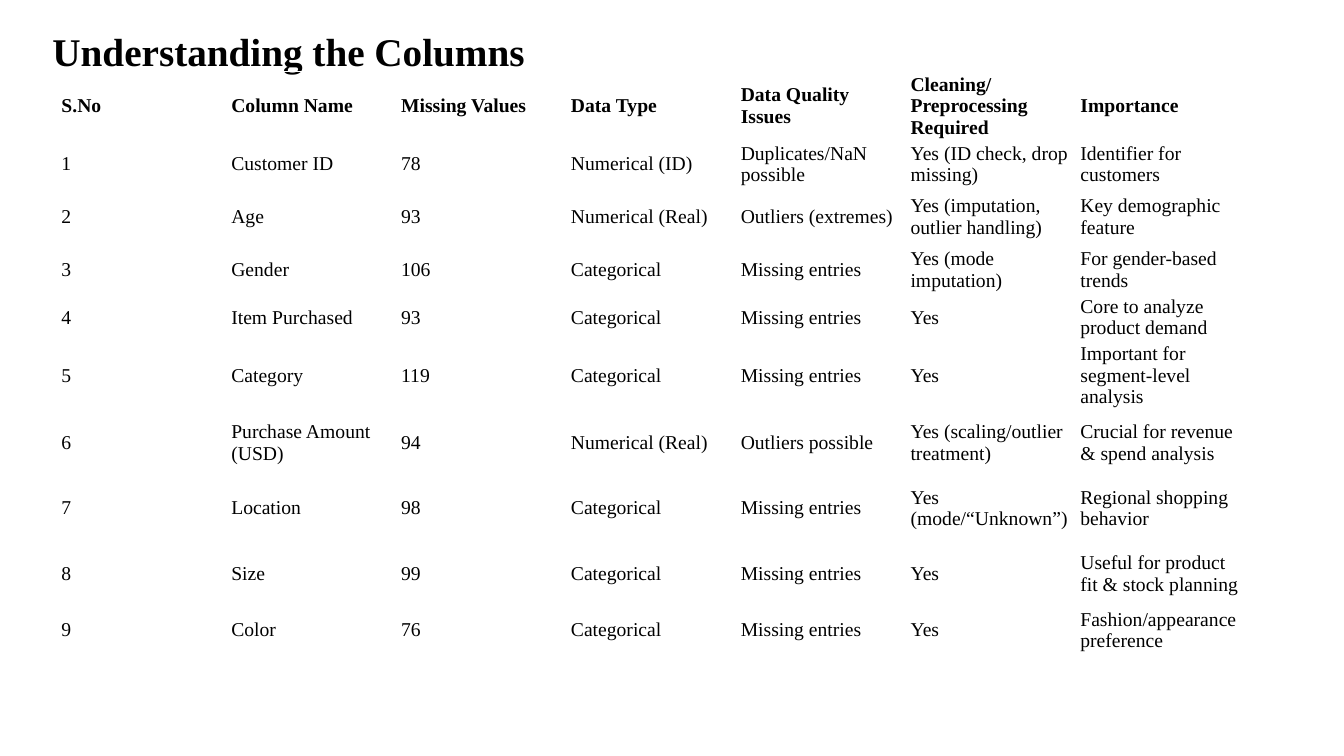
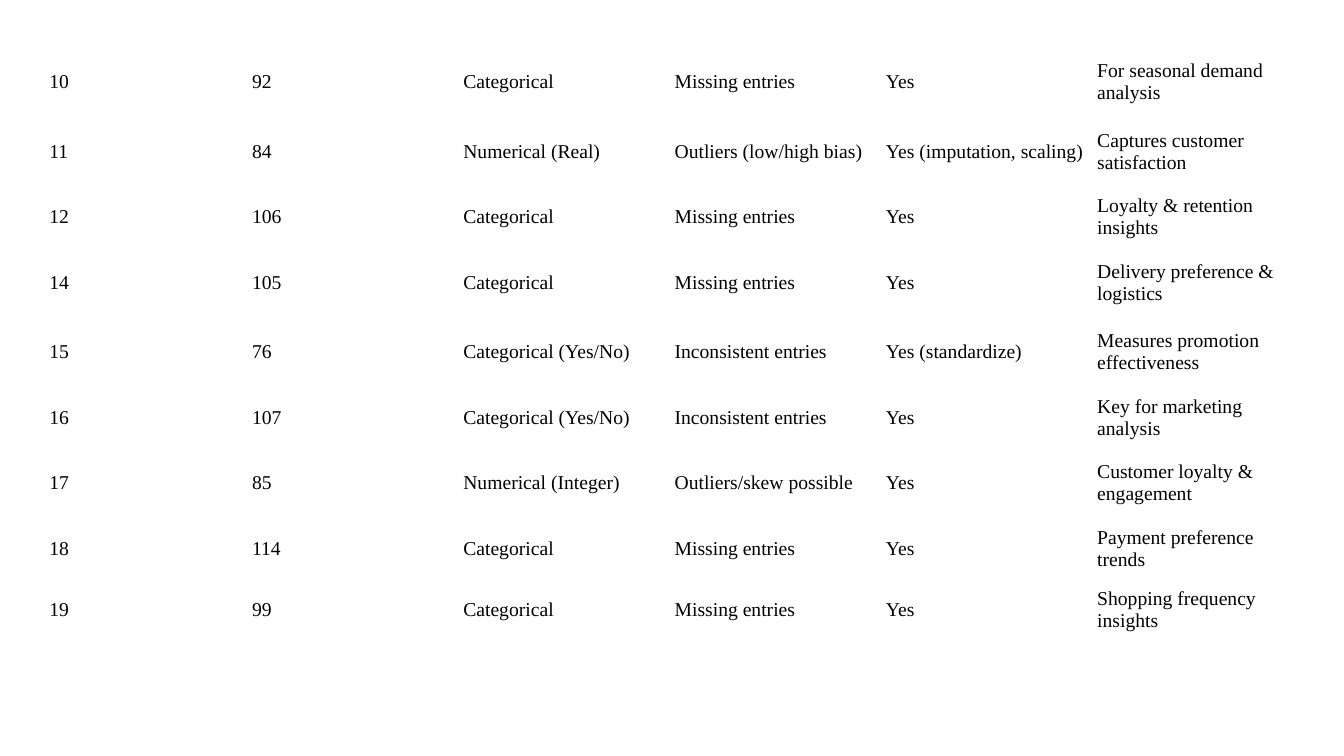
from pptx import Presentation
from pptx.dml.color import RGBColor
from pptx.enum.text import MSO_ANCHOR, MSO_AUTO_SIZE, PP_ALIGN
from pptx.util import Inches, Pt

TOP, MIDDLE = MSO_ANCHOR.TOP, MSO_ANCHOR.MIDDLE
FIXED_SIZE = MSO_AUTO_SIZE.NONE
LEFT = PP_ALIGN.LEFT
TITLE_ONLY, BLANK = 5, 6

COLORS = {"text": "000000"}
FONT = "Times New Roman"
TITLE_SIZE, TABLE_SIZE = 28, 14
INSET_X, INSET_Y = Inches(0.03), Inches(0.02)


def style_text(text_frame, size, bold):
    for paragraph in text_frame.paragraphs:
        paragraph.alignment = LEFT
        for run in paragraph.runs:
            run.font.name = FONT
            run.font.size = Pt(size)
            run.font.bold = bold
            run.font.color.rgb = RGBColor.from_string(COLORS["text"])


def add_plain_table(slide, left, top, width, rows, row_heights, has_header):
    """Add a table with equal columns and neither fills nor banding."""
    frame = slide.shapes.add_table(
        len(rows), len(rows[0]), Inches(left), Inches(top),
        Inches(width), Inches(sum(row_heights)))
    table = frame.table
    table.first_row = has_header
    table.horz_banding = False
    for r, (values, height) in enumerate(zip(rows, row_heights)):
        table.rows[r].height = Inches(height)
        for c, value in enumerate(values):
            cell = table.cell(r, c)
            cell.fill.background()
            cell.vertical_anchor = MIDDLE
            cell.margin_left = cell.margin_right = INSET_X
            cell.margin_top = cell.margin_bottom = INSET_Y
            cell.text_frame.text = value
            style_text(cell.text_frame, TABLE_SIZE, has_header and r == 0)
    return table


prs = Presentation()
prs.slide_width, prs.slide_height = Inches(13.33), Inches(7.5)

# Slide 1: the first nine columns of the data set
slide = prs.slides.add_slide(prs.slide_layouts[TITLE_ONLY])
title = slide.shapes.title
title.left, title.top = Inches(0.42), Inches(0.22)
title.width, title.height = Inches(6.76), Inches(0.57)
title.text_frame.text = "Understanding the Columns"
title.text_frame.auto_size = FIXED_SIZE
title.text_frame.vertical_anchor = TOP
style_text(title.text_frame, TITLE_SIZE, True)

first_columns = [
    ("S.No", "Column Name", "Missing Values", "Data Type", "Data Quality Issues",
     "Cleaning/Preprocessing Required", "Importance"),
    ("1", "Customer ID", "78", "Numerical (ID)", "Duplicates/NaN possible",
     "Yes (ID check, drop missing)", "Identifier for customers"),
    ("2", "Age", "93", "Numerical (Real)", "Outliers (extremes)",
     "Yes (imputation, outlier handling)", "Key demographic feature"),
    ("3", "Gender", "106", "Categorical", "Missing entries",
     "Yes (mode imputation)", "For gender-based trends"),
    ("4", "Item Purchased", "93", "Categorical", "Missing entries",
     "Yes", "Core to analyze product demand"),
    ("5", "Category", "119", "Categorical", "Missing entries",
     "Yes", "Important for segment-level analysis"),
    ("6", "Purchase Amount (USD)", "94", "Numerical (Real)", "Outliers possible",
     "Yes (scaling/outlier treatment)", "Crucial for revenue & spend analysis"),
    ("7", "Location", "98", "Categorical", "Missing entries",
     "Yes (mode/“Unknown”)", "Regional shopping behavior"),
    ("8", "Size", "99", "Categorical", "Missing entries",
     "Yes", "Useful for product fit & stock planning"),
    ("9", "Color", "76", "Categorical", "Missing entries",
     "Yes", "Fashion/appearance preference"),
]
first_heights = [0.65, 0.44, 0.58, 0.44, 0.44, 0.65, 0.65, 0.65, 0.65, 0.44]
add_plain_table(slide, 0.58, 0.71, 11.79, first_columns, first_heights, True)

# Slide 2: the remaining columns, continued without a header
slide = prs.slides.add_slide(prs.slide_layouts[BLANK])
remaining_columns = [
    ("10", "92", "Categorical", "Missing entries", "Yes",
     "For seasonal demand analysis"),
    ("11", "84", "Numerical (Real)", "Outliers (low/high bias)",
     "Yes (imputation, scaling)", "Captures customer satisfaction"),
    ("12", "106", "Categorical", "Missing entries", "Yes",
     "Loyalty & retention insights"),
    ("14", "105", "Categorical", "Missing entries", "Yes",
     "Delivery preference & logistics"),
    ("15", "76", "Categorical (Yes/No)", "Inconsistent entries",
     "Yes (standardize)", "Measures promotion effectiveness"),
    ("16", "107", "Categorical (Yes/No)", "Inconsistent entries", "Yes",
     "Key for marketing analysis"),
    ("17", "85", "Numerical (Integer)", "Outliers/skew possible", "Yes",
     "Customer loyalty & engagement"),
    ("18", "114", "Categorical", "Missing entries", "Yes",
     "Payment preference trends"),
    ("19", "99", "Categorical", "Missing entries", "Yes",
     "Shopping frequency insights"),
]
remaining_heights = [0.69, 0.69, 0.61, 0.69, 0.69, 0.61, 0.69, 0.61, 0.61]
table_width, number_width = 12.49, 2.01
table = add_plain_table(slide, 0.46, 0.47, table_width,
                        remaining_columns, remaining_heights, False)
detail_width = (table_width - number_width) / (len(table.columns) - 1)
for c, column in enumerate(table.columns):
    column.width = Inches(detail_width if c else number_width)

prs.save("out.pptx")
